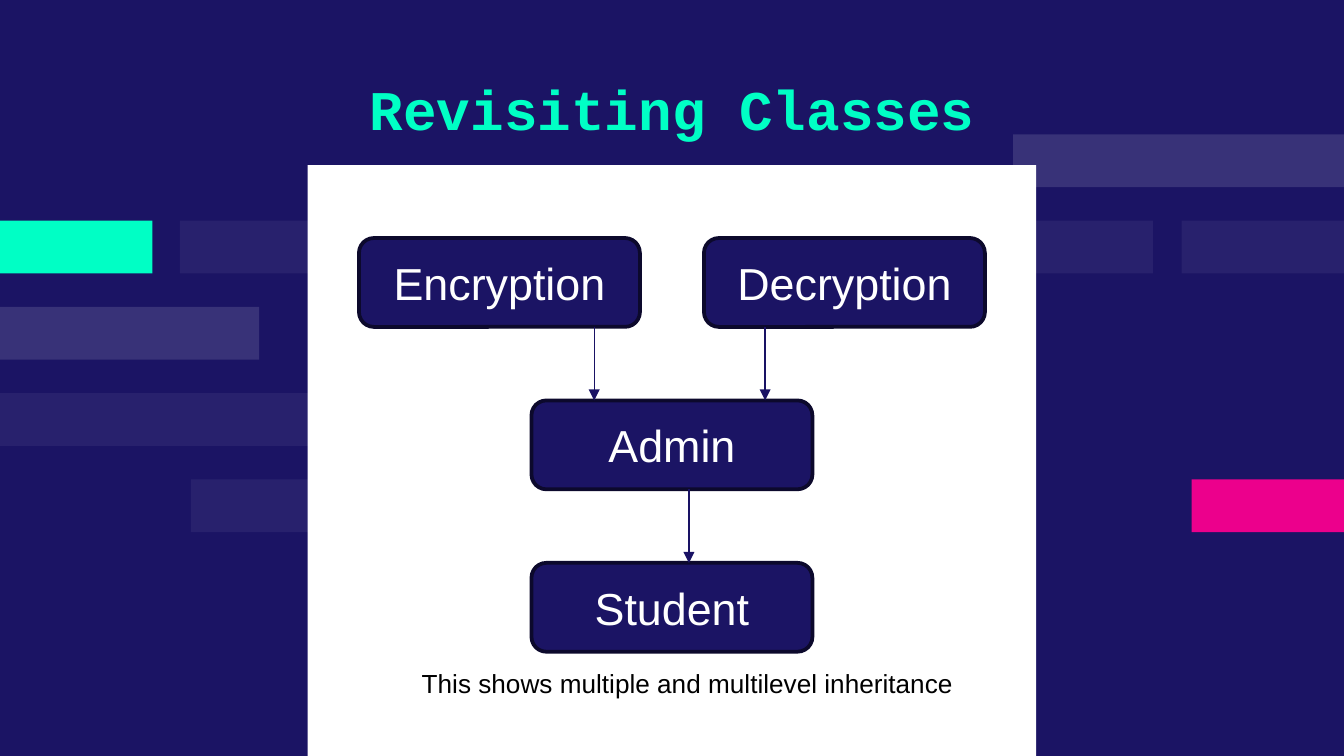
from dataclasses import dataclass
from typing import NamedTuple, Optional

from pptx import Presentation
from pptx.dml.color import RGBColor
from pptx.enum.shapes import MSO_CONNECTOR, MSO_SHAPE
from pptx.enum.text import MSO_ANCHOR, PP_ALIGN
from pptx.oxml.ns import qn
from pptx.util import Cm, Pt
from lxml import etree

RECT, ROUNDED = MSO_SHAPE.RECTANGLE, MSO_SHAPE.ROUNDED_RECTANGLE
STRAIGHT = MSO_CONNECTOR.STRAIGHT
LEFT, CENTER = PP_ALIGN.LEFT, PP_ALIGN.CENTER
TOP, MIDDLE = MSO_ANCHOR.TOP, MSO_ANCHOR.MIDDLE


@dataclass(frozen=True)
class Theme:
    navy: str = "1B1464"
    outline: str = "0C092C"
    arrow: str = "191264"
    mint: str = "00FFC5"
    pink: str = "EC008C"
    white: str = "FFFFFF"
    black: str = "000000"
    body_font: str = "Arial"
    title_font: str = "Courier New"
    title_size: int = 30
    box_size: int = 24
    caption_size: int = 14


class Bar(NamedTuple):
    row: int
    left: float
    width: float
    color: str
    opacity: Optional[int] = None


class ClassBox(NamedTuple):
    name: str
    row: int
    offset: float  # cm from the slide's vertical centre line


class Arrow(NamedTuple):
    x: float
    row: int  # row of the box it leaves


THEME = Theme()
SLIDE_W, SLIDE_H = 25.4, 14.29
BAR_TOP, BAR_PITCH, BAR_H = 2.54, 1.63, 1.0
BOX_TOP, BOX_PITCH, BOX_W, BOX_H = 4.5, 3.07, 5.31, 1.68
PANEL_W, PANEL_TOP = 13.77, 3.12

BARS = [
    Bar(2, 0, 4.9, THEME.white, 13),
    Bar(1, 3.4, 3.08, THEME.white, 6),
    Bar(3, 0, 6.25, THEME.white, 6),
    Bar(1, 0, 2.88, THEME.mint),
    Bar(4, 3.61, 3.08, THEME.white, 6),
    Bar(4, 22.52, 2.88, THEME.pink),
    Bar(1, 22.33, 3.07, THEME.white, 6),
    Bar(1, 15.21, 6.58, THEME.white, 6),
    Bar(0, 19.15, 6.25, THEME.white, 13),
]
BOXES = [
    ClassBox("Encryption", 0, -3.26),
    ClassBox("Decryption", 0, 3.26),
    ClassBox("Admin", 1, 0),
    ClassBox("Student", 2, 0),
]
ARROWS = [Arrow(11.23, 0), Arrow(14.46, 0), Arrow(13.02, 1)]


def rgb(color: str) -> RGBColor:
    return RGBColor.from_string(color)


def add_filled(slide, kind, left: float, top: float, width: float,
               height: float, color: str):
    """Add a flat shape without line or shadow; lengths in cm."""
    sp = slide.shapes.add_shape(kind, Cm(left), Cm(top), Cm(width), Cm(height))
    sp.shadow.inherit = False
    sp.fill.solid()
    sp.fill.fore_color.rgb = rgb(color)
    sp.line.fill.background()
    return sp


def write_text(sp, text: str, color: str, align, anchor, wrap: bool = True,
               **font) -> None:
    tf = sp.text_frame
    tf.word_wrap = wrap
    tf.vertical_anchor = anchor
    p = tf.paragraphs[0]
    p.alignment = align
    r = p.add_run()
    r.text = text
    r.font.color.rgb = rgb(color)
    for key, value in font.items():
        setattr(r.font, key, value)


def draw_bar(slide, bar: Bar) -> None:
    top = BAR_TOP + bar.row * BAR_PITCH
    sp = add_filled(slide, RECT, bar.left, top, bar.width, BAR_H, bar.color)
    if bar.opacity is not None:
        clr = sp.fill._xPr.find(f".//{qn('a:srgbClr')}")
        etree.SubElement(clr, qn("a:alpha"), val=str(bar.opacity * 1000))


def draw_box(slide, box: ClassBox) -> None:
    left = (SLIDE_W - BOX_W) / 2 + box.offset
    top = BOX_TOP + box.row * BOX_PITCH
    sp = add_filled(slide, ROUNDED, left, top, BOX_W, BOX_H, THEME.navy)
    sp.line.color.rgb = rgb(THEME.outline)
    sp.line.width = Pt(2)
    write_text(sp, box.name, THEME.white, CENTER, MIDDLE,
               name=THEME.body_font, size=Pt(THEME.box_size))


def draw_arrow(slide, arrow: Arrow) -> None:
    start = BOX_TOP + arrow.row * BOX_PITCH + BOX_H
    end = BOX_TOP + (arrow.row + 1) * BOX_PITCH
    line = slide.shapes.add_connector(STRAIGHT, Cm(arrow.x), Cm(start),
                                      Cm(arrow.x), Cm(end))
    line.line.color.rgb = rgb(THEME.arrow)
    line.line.width = Pt(0.75)
    etree.SubElement(line.line._get_or_add_ln(), qn("a:tailEnd"), type="triangle")
    etree.SubElement(line._element.spPr, qn("a:effectLst"))


def draw_title(slide) -> None:
    sp = slide.shapes.add_textbox(Cm(3.56), Cm(0.97), Cm(18.29), Cm(1.85))
    write_text(sp, "Revisiting Classes", THEME.mint, CENTER, TOP,
               name=THEME.title_font, size=Pt(THEME.title_size), bold=True)
    tf = sp.text_frame
    tf.paragraphs[0].line_spacing = 1.15
    for side in ("left", "top", "right", "bottom"):
        setattr(tf, f"margin_{side}", Cm(0.25))


def draw_caption(slide) -> None:
    sp = slide.shapes.add_textbox(Cm(7.72), Cm(12.5), Cm(10.59), Cm(0.86))
    write_text(sp, "This shows multiple and multilevel inheritance",
               THEME.black, LEFT, TOP, wrap=False,
               name=THEME.body_font, size=Pt(THEME.caption_size))


def main() -> None:
    prs = Presentation()
    prs.slide_width, prs.slide_height = Cm(SLIDE_W), Cm(SLIDE_H)
    s = prs.slides.add_slide(prs.slide_layouts[6])
    s.background.fill.solid()
    s.background.fill.fore_color.rgb = rgb(THEME.navy)

    for bar in BARS:
        draw_bar(s, bar)
    add_filled(s, RECT, (SLIDE_W - PANEL_W) / 2, PANEL_TOP, PANEL_W,
               SLIDE_H - PANEL_TOP, THEME.white)
    draw_title(s)
    for box in BOXES:
        draw_box(s, box)
    for arrow in ARROWS:
        draw_arrow(s, arrow)
    draw_caption(s)
    prs.save("out.pptx")


if __name__ == "__main__":
    main()
